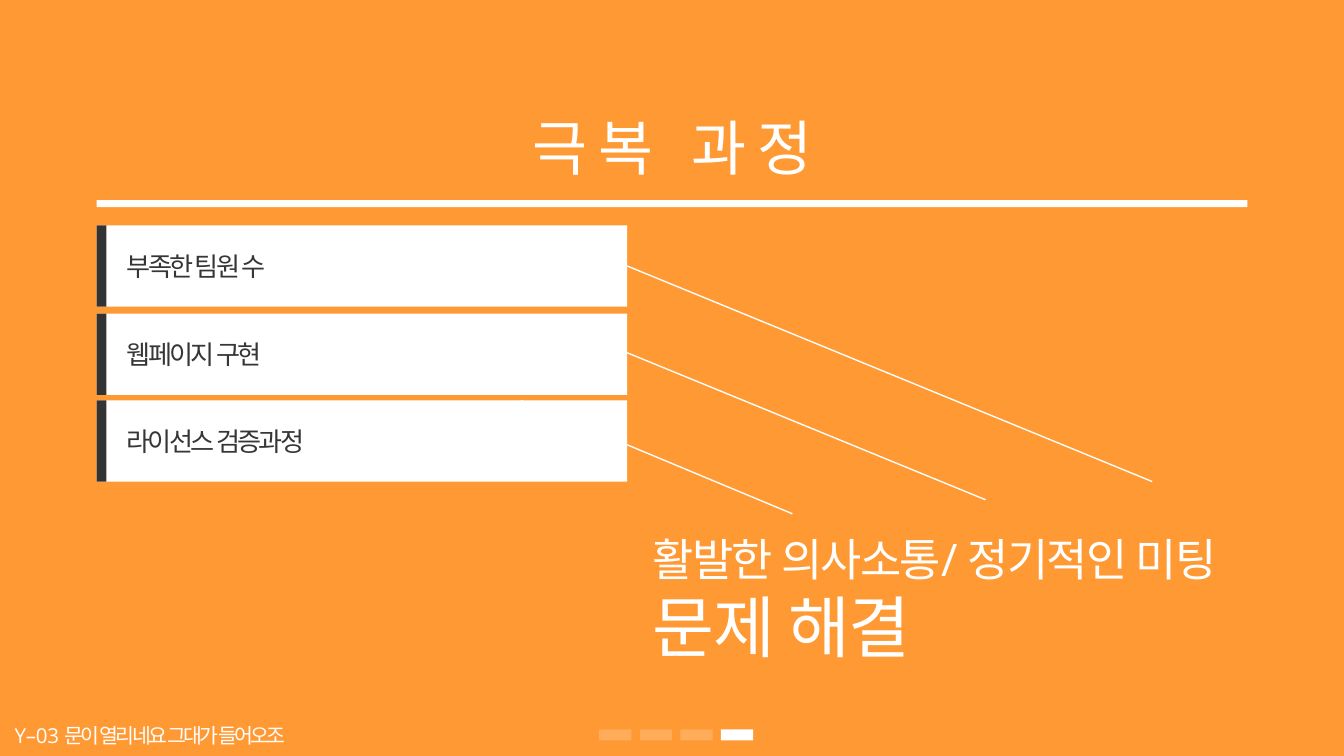
"""Build the slide on how the team overcame its problems."""
from dataclasses import dataclass

from lxml import etree
from pptx import Presentation
from pptx.dml.color import RGBColor
from pptx.enum.shapes import MSO_CONNECTOR, MSO_SHAPE
from pptx.enum.text import MSO_ANCHOR, MSO_AUTO_SIZE, PP_ALIGN
from pptx.oxml.ns import qn
from pptx.util import Pt

RECTANGLE = MSO_SHAPE.RECTANGLE
STRAIGHT = MSO_CONNECTOR.STRAIGHT
TOP = MSO_ANCHOR.TOP
CENTER = PP_ALIGN.CENTER
FIT_SHAPE = MSO_AUTO_SIZE.SHAPE_TO_FIT_TEXT
PX = 9525


@dataclass(frozen=True)
class Theme:
    orange: RGBColor = RGBColor(0xFF, 0x99, 0x33)
    white: RGBColor = RGBColor(0xFF, 0xFF, 0xFF)
    accent: RGBColor = RGBColor(0x33, 0x33, 0x33)
    ink: RGBColor = RGBColor(0x36, 0x36, 0x36)
    latin: str = "Open Sans"
    korean: str = "Noto Sans CJK KR"
    footer: int = 11
    label: int = 14
    answer: int = 24
    title: int = 32
    result: int = 36


theme = Theme()


def add_rectangle(left, top, width, height, color):
    shape = slide.shapes.add_shape(
        RECTANGLE, left * PX, top * PX, width * PX, height * PX)
    shape.shadow.inherit = False
    shape.fill.solid()
    shape.fill.fore_color.rgb = color
    shape.line.fill.background()
    return shape


def add_run(paragraph, text, size, color, spacing, latin=theme.latin):
    run = paragraph.add_run()
    run.text = text
    run.font.size = Pt(size)
    run.font.color.rgb = color
    run.font.name = latin
    properties = run.font._element
    properties.set("spc", str(round(spacing * 100)))
    east_asian = etree.SubElement(properties, qn("a:ea"))
    east_asian.set("typeface", theme.latin)


presentation = Presentation()
presentation.slide_width = 960 * PX
presentation.slide_height = 540 * PX
slide = presentation.slides.add_slide(presentation.slide_layouts[5])
slide.background.fill.solid()
slide.background.fill.fore_color.rgb = theme.orange

page_count = 4
for page in range(page_count):
    marker = add_rectangle(428 + page * 29, 521, 23, 8, theme.white)
    if page < page_count - 1:
        fill_color = marker._element.spPr.find(qn("a:solidFill"))[0]
        etree.SubElement(fill_color, qn("a:alpha")).set("val", "20000")

footer = slide.shapes.add_textbox(1 * PX, 512 * PX, 480 * PX, 28 * PX)
footer.text_frame.word_wrap = True
footer.text_frame.auto_size = FIT_SHAPE
footer_paragraph = footer.text_frame.paragraphs[0]
for text, spacing in (("Y – 0 3", -1.5), (" ", 0), ("문이 열리네요 그대가 들어오조", -1.5)):
    add_run(footer_paragraph, text, theme.footer, theme.white, spacing)

answer = slide.shapes.add_textbox(457 * PX, 375 * PX, 467 * PX, 107 * PX)
answer.text_frame.word_wrap = True
answer.text_frame.auto_size = FIT_SHAPE
add_run(answer.text_frame.paragraphs[0], "활발한 의사소통/ 정기적인 미팅",
        theme.answer, theme.white, -0.9)
add_run(answer.text_frame.add_paragraph(), "문제 해결",
        theme.result, theme.white, -0.9)

title = slide.shapes.title
title.left, title.top, title.width, title.height = (
    length * PX for length in (59, 74, 843, 61))
title.text_frame.vertical_anchor = TOP
title.text_frame.auto_size = FIT_SHAPE
title_paragraph = title.text_frame.paragraphs[0]
title_paragraph.alignment = CENTER
add_run(title_paragraph, "극복 과정", theme.title, theme.white, 6)
add_rectangle(69, 143, 822, 5, theme.white)

problems = [
    ("부족한 팀원 수", theme.korean, 134, (448, 190, 823, 344)),
    ("웹페이지 구현", theme.korean, 125, (448, 252, 704, 357)),
    ("라이선스 검증과정", theme.latin, 158, (372, 286, 566, 367)),
]
for row, (text, latin, label_width, ends) in enumerate(problems):
    card_top = 161 + round(row * 62.7)
    add_rectangle(69, card_top, 379, 58, theme.white)

    connector = slide.shapes.add_connector(
        STRAIGHT, *(position * PX for position in ends))
    connector.line.color.rgb = theme.white
    connector.line.width = Pt(0.75)
    etree.SubElement(connector._element.spPr, qn("a:effectLst"))

    label = slide.shapes.add_textbox(
        81 * PX, (card_top + 13) * PX, label_width * PX, 33 * PX)
    label.text_frame.word_wrap = False
    label.text_frame.auto_size = FIT_SHAPE
    add_run(label.text_frame.paragraphs[0], text, theme.label, theme.ink, -1.5, latin)
    add_rectangle(69, card_top, 7, 58, theme.accent)

presentation.save("out.pptx")
